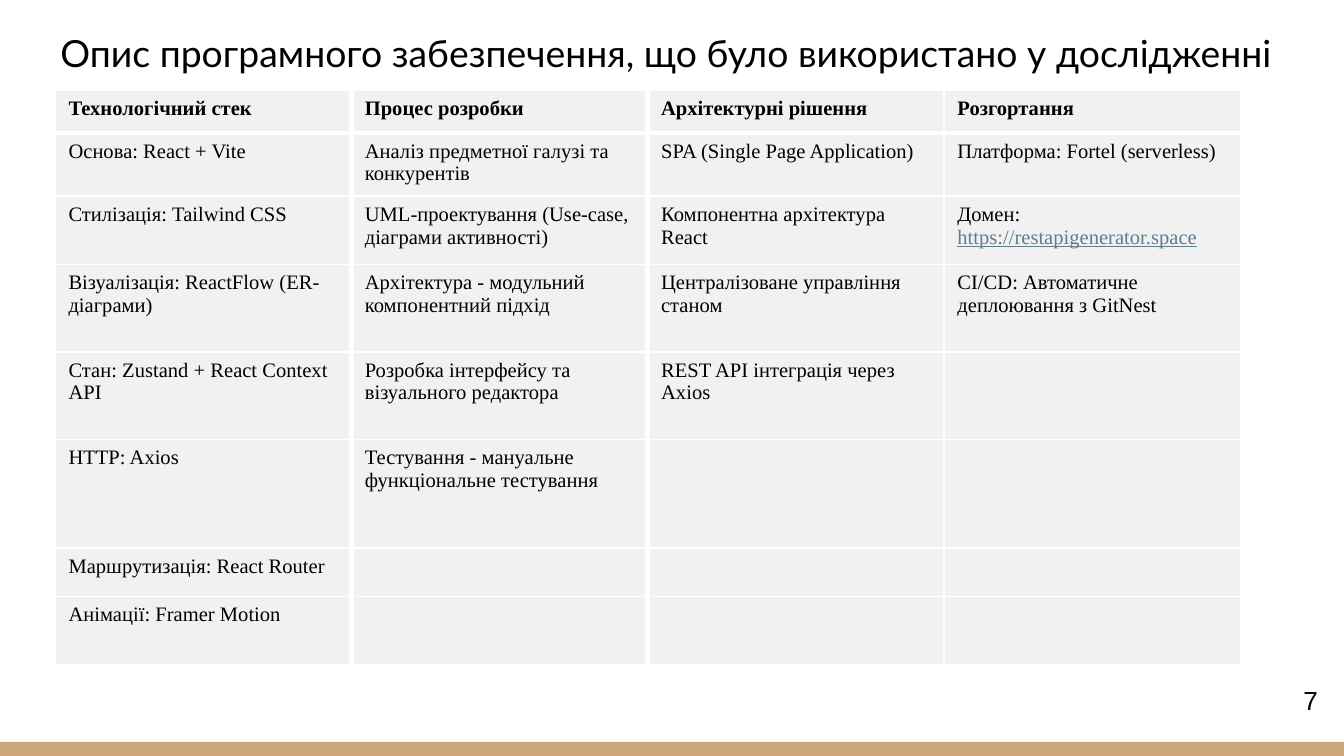
"""Builds a slide with a table of the software used in the study."""
from lxml import etree
from pptx import Presentation
from pptx import util as u
from pptx.dml.color import RGBColor
from pptx.enum import shapes, text
from pptx.oxml import ns

BLACK = RGBColor(0x00, 0x00, 0x00)
WHITE = RGBColor(0xFF, 0xFF, 0xFF)
SAND = RGBColor(0xCC, 0xA6, 0x77)
PALE_GREY = RGBColor(0xF1, 0xF1, 0xF1)
LINK = RGBColor(0x60, 0x7D, 0x8B)

TABLE_FONT = "Times New Roman"
TABLE_SIZE = 11
ROW_HEIGHTS = [0.32, 0.47, 0.51, 0.65, 0.65, 0.81, 0.36, 0.51]
COLUMNS = {
    "Технологічний стек": [
        "Основа: React + Vite",
        "Стилізація: Tailwind CSS",
        "Візуалізація: ReactFlow (ER-діаграми)",
        "Стан: Zustand + React Context API",
        "HTTP: Axios",
        "Маршрутизація: React Router",
        "Анімації: Framer Motion",
    ],
    "Процес розробки": [
        "Аналіз предметної галузі та конкурентів",
        "UML-проектування (Use-case, діаграми активності)",
        "Архітектура - модульний компонентний підхід",
        "Розробка інтерфейсу та візуального редактора",
        "Тестування - мануальне функціональне тестування",
    ],
    "Архітектурні рішення": [
        "SPA (Single Page Application)",
        "Компонентна архітектура React",
        "Централізоване управління станом",
        "REST API інтеграція через Axios",
    ],
    "Розгортання": [
        "Платформа: Fortel (serverless)",
        "Домен: https://restapigenerator.space",
        "CI/CD: Автоматичне деплоювання з GitNest",
    ],
}


def add_span(para, words, font, size, color=BLACK, bold=False, underline=False):
    """Append one formatted run to a paragraph."""
    span = para.add_run()
    span.text = words
    span.font.name = font
    span.font.size = u.Pt(size)
    span.font.color.rgb = color
    span.font.bold = bold
    span.font.underline = underline


def add_label(page, place, words, font, size, inset, wrap, anchor):
    """Add a text box holding one line of text."""
    box = page.shapes.add_textbox(*map(u.Inches, place))
    frame = box.text_frame
    frame.word_wrap = wrap
    frame.vertical_anchor = anchor
    frame.margin_top = frame.margin_bottom = u.Inches(inset)
    add_span(frame.paragraphs[0], words, font, size)


def add_band(page, place):
    """Add the coloured band at the foot of the page."""
    band = page.shapes.add_shape(shapes.MSO_SHAPE.RECTANGLE, *map(u.Inches, place))
    band.shadow.inherit = False
    band.fill.solid()
    band.fill.fore_color.rgb = SAND
    band.line.fill.background()


def set_borders(cell, **widths):
    """Draw white cell borders with the given widths in points."""
    properties = cell._tc.get_or_add_tcPr()
    for side in "LRTB":
        line = etree.SubElement(properties, ns.qn(f"a:ln{side}"), w=str(u.Pt(widths.get(side, 1))))
        fill = etree.SubElement(line, ns.qn("a:solidFill"))
        etree.SubElement(fill, ns.qn("a:srgbClr"), val=str(WHITE))


def fill_cell(cell, words, bold):
    """Write the cell text, setting any web address as a link."""
    cell.fill.solid()
    cell.fill.fore_color.rgb = PALE_GREY
    para = cell.text_frame.paragraphs[0]
    if not words:
        etree.SubElement(para._p, ns.qn("a:endParaRPr"), sz=str(TABLE_SIZE * 100))
        return
    lead, scheme, address = words.partition("https://")
    add_span(para, lead, TABLE_FONT, TABLE_SIZE, bold=bold)
    if scheme:
        add_span(para, scheme + address, TABLE_FONT, TABLE_SIZE, LINK, underline=True)


def add_software_table(page, left, top, width):
    """Add the table, one column per topic."""
    frame = page.shapes.add_table(
        len(ROW_HEIGHTS), len(COLUMNS), u.Inches(left), u.Inches(top),
        u.Inches(width), u.Inches(sum(ROW_HEIGHTS)))
    table = frame.table
    table.first_row = table.horz_banding = False
    for row, height in zip(table.rows, ROW_HEIGHTS):
        row.height = u.Inches(height)
    for c, (heading, entries) in enumerate(COLUMNS.items()):
        column = [heading] + entries
        for r in range(len(ROW_HEIGHTS)):
            cell = table.cell(r, c)
            set_borders(cell, L=3 if c in (1, 2) else 1, R=3 if c < 2 else 1, B=3 if r == 0 else 1)
            fill_cell(cell, column[r] if r < len(column) else "", bold=r == 0)


def main():
    """Build and save the deck."""
    deck = Presentation()
    deck.slide_width, deck.slide_height = u.Inches(10), u.Inches(10 * 9 / 16)
    page = deck.slides.add_slide(deck.slide_layouts[6])
    add_band(page, (0, 5.52, 10, 0.11))
    add_label(page, (0.35, 0.22, 9.32, 0.44),
              "Опис програмного забезпечення, що було використано у дослідженні",
              "Lato", 20, 0.1, True, text.MSO_ANCHOR.BOTTOM)
    add_label(page, (9.6, 5.04, 0.31, 0.34), "7", "Arial", 14, 0.05, False, text.MSO_ANCHOR.TOP)
    add_software_table(page, 0.41, 0.67, 8.82)
    deck.save("out.pptx")


if __name__ == "__main__":
    main()
